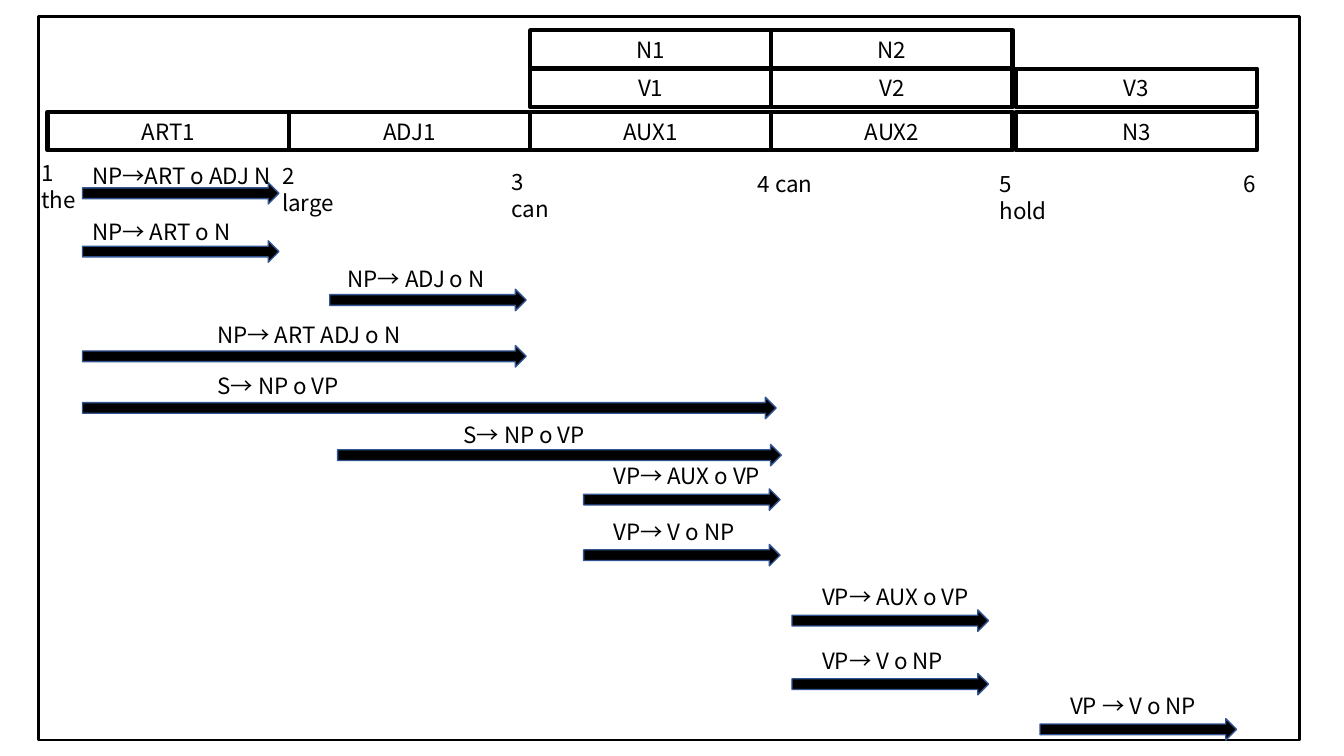
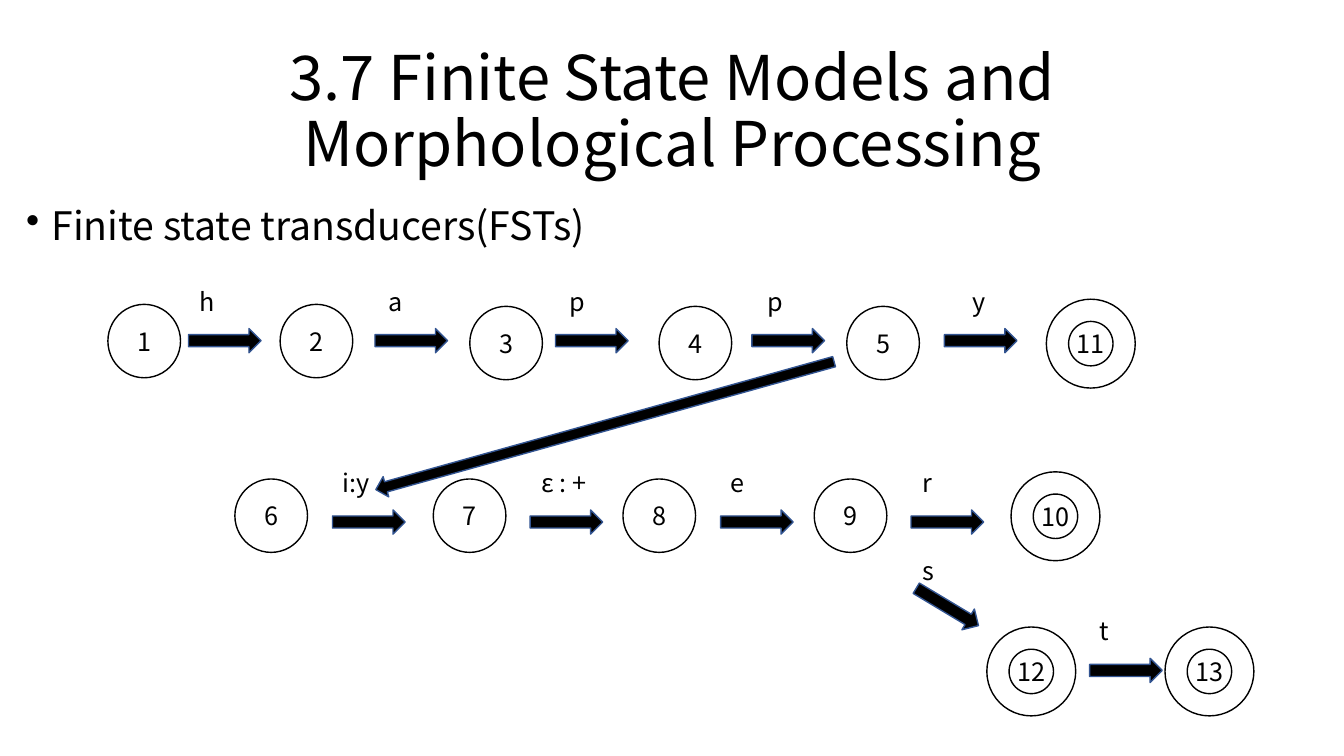
from dataclasses import dataclass

from lxml import etree
from pptx import Presentation
from pptx.dml.color import RGBColor
from pptx.enum.shapes import MSO_SHAPE
from pptx.enum.text import MSO_ANCHOR, MSO_AUTO_SIZE, PP_ALIGN
from pptx.oxml.ns import qn
from pptx.util import Cm, Pt

RECT, OVAL = MSO_SHAPE.RECTANGLE, MSO_SHAPE.OVAL
ARROW, DONUT = MSO_SHAPE.RIGHT_ARROW, MSO_SHAPE.DONUT
TOP, MIDDLE = MSO_ANCHOR.TOP, MSO_ANCHOR.MIDDLE
LEFT, CENTER = PP_ALIGN.LEFT, PP_ALIGN.CENTER
FIXED, GROW = MSO_AUTO_SIZE.NONE, MSO_AUTO_SIZE.SHAPE_TO_FIT_TEXT


@dataclass(frozen=True)
class Theme:
    font: str = "Noto Sans CJK KR"
    ink: RGBColor = RGBColor(0x00, 0x00, 0x00)
    paper: RGBColor = RGBColor(0xFF, 0xFF, 0xFF)
    arrow_edge: RGBColor = RGBColor(0x32, 0x54, 0x91)
    title_size: int = 44
    body_size: int = 28
    state_size: int = 18
    chart_size: int = 16


theme = Theme()

FRAME = {"fill": None, "edge": theme.ink, "weight": 2}
CELL = {"fill": theme.paper, "edge": theme.ink, "weight": 3}
STATE = {"fill": None, "edge": theme.ink, "weight": 1}
ARC = {"fill": theme.ink, "edge": theme.arrow_edge, "weight": 1}

CENTERED = {"vertical_anchor": MIDDLE, "auto_size": FIXED, "word_wrap": True}
GROWING = {"vertical_anchor": TOP, "auto_size": GROW, "word_wrap": True}
TITLE = {"frame": CENTERED, "size": theme.title_size,
         "paragraph": {"alignment": CENTER, "line_spacing": 0.9}}
BODY = {"frame": {**GROWING, "auto_size": FIXED}, "size": theme.body_size,
        "paragraph": {"alignment": LEFT, "line_spacing": 0.9}, "bullet": "•"}
CELL_TEXT = {"frame": CENTERED, "size": theme.chart_size, "paragraph": {"alignment": CENTER}}
STATE_TEXT = {**CELL_TEXT, "size": theme.state_size}
CHART_LABEL = {"frame": GROWING, "size": theme.chart_size, "paragraph": {"alignment": LEFT}}
STATE_LABEL = {**CHART_LABEL, "size": theme.state_size}


def draw(slide, preset, box, look, rotation=0):
    shape = slide.shapes.add_shape(preset, *map(Cm, box))
    shape.shadow.inherit = False
    shape.rotation = rotation
    if look["fill"] is None:
        shape.fill.background()
    else:
        shape.fill.solid()
        shape.fill.fore_color.rgb = look["fill"]
    shape.line.color.rgb = look["edge"]
    shape.line.width = Pt(look["weight"])
    return shape


def write(shape, words, style):
    frame = shape.text_frame
    paragraph = frame.paragraphs[0]
    for target, values in ((frame, style["frame"]), (paragraph, style["paragraph"])):
        for attribute, value in values.items():
            setattr(target, attribute, value)
    if "bullet" in style:
        properties = paragraph._p.get_or_add_pPr()
        properties.set("marL", str(Cm(0.64)))
        properties.set("indent", str(-Cm(0.64)))
        etree.SubElement(properties, qn("a:buChar")).set("char", style["bullet"])
    run = paragraph.add_run()
    run.text = words
    run.font.size = Pt(style["size"])
    run.font.color.rgb = theme.ink
    run.font.name = theme.font
    etree.SubElement(run._r.get_or_add_rPr(), qn("a:ea")).set("typeface", theme.font)


deck = Presentation()
deck.slide_width, deck.slide_height = Cm(33.87), Cm(19.05)
blank = deck.slide_layouts[6]

parse_chart = deck.slides.add_slide(blank)
draw(parse_chart, RECT, (0.97, 0.41, 31.78, 18.24), FRAME)

cell_width, cell_height = 6.08, 0.97
column_lefts = [1.2 + cell_width * column for column in range(4)] + [25.6]
constituents = [
    (0.76, 2, ["N1", "N2"]),
    (1.73, 2, ["V1", "V2", "V3"]),
    (2.82, 0, ["ART1", "ADJ1", "AUX1", "AUX2", "N3"]),
]
for top, first_column, names in constituents:
    for left, name in zip(column_lefts[first_column:], names):
        cell = draw(parse_chart, RECT, (left, top, cell_width, cell_height), CELL)
        write(cell, name, CELL_TEXT)

word_positions = [
    ("1 the", 0.79, 3.89, 1.7),
    ("2 large", 6.86, 3.96, 2.16),
    ("3 can", 12.65, 4.11, 1.68),
    ("4 can", 18.85, 4.17, 1.98),
    ("5 hold", 24.94, 4.17, 1.98),
    ("6", 31.09, 4.17, 1.98),
]
for word, left, top, width in word_positions:
    label = parse_chart.shapes.add_textbox(Cm(left), Cm(top), Cm(width), Cm(0.93))
    write(label, word, CHART_LABEL)

one_word, two_words, three_words = 4.95, 11.18, 17.48
active_arcs = [
    ("NP→ART o ADJ N", 2.08, 3.96, 2.08, 4.6, one_word),
    ("NP→ ART o N", 2.08, 5.36, 2.08, 6.07, one_word),
    ("NP→ ADJ o N", 8.51, 6.55, 8.31, 7.29, one_word),
    ("NP→ ART ADJ o N", 5.23, 7.98, 2.08, 8.71, two_words),
    ("S→ NP o VP", 5.23, 9.25, 2.08, 10.01, three_words),
    ("S→ NP o VP", 11.43, 10.49, 8.51, 11.2, two_words),
    ("VP→ AUX o VP", 15.21, 11.53, 14.71, 12.32, one_word),
    ("VP→ V o NP", 15.21, 12.93, 14.71, 13.72, one_word),
    ("VP→ AUX o VP", 20.47, 14.58, 19.96, 15.37, one_word),
    ("VP→ V o NP", 20.47, 16.18, 19.96, 16.97, one_word),
    ("VP → V o NP", 26.72, 17.32, 26.21, 18.11, one_word),
]
for rule, label_left, label_top, arc_left, arc_top, span in active_arcs:
    draw(parse_chart, ARROW, (arc_left, arc_top, span, 0.54), ARC)
    label = parse_chart.shapes.add_textbox(Cm(label_left), Cm(label_top), Cm(5.3), Cm(0.93))
    write(label, rule, CHART_LABEL)

transducer = deck.slides.add_slide(blank)
headings = [
    ("3.7 Finite State Models and Morphological Processing", (2.34, 1.02, 29.21, 3.68), TITLE),
    ("Finite state transducers(FSTs)", (0.41, 5.08, 33.15, 13.51), BODY),
]
for words, box, style in headings:
    write(transducer.shapes.add_textbox(*map(Cm, box)), words, style)

inner_states = [
    ("1", 2.72, 7.67), ("2", 7.06, 7.67), ("3", 11.84, 7.72), ("4", 16.61, 7.72),
    ("5", 21.34, 7.72), ("6", 5.92, 12.07), ("7", 10.92, 12.07), ("8", 15.7, 12.07),
    ("9", 20.52, 12.07),
]
final_states = [
    ("11", 26.37, 7.54), ("10", 25.48, 11.89), ("12", 24.87, 15.8), ("13", 29.36, 15.8),
]
state_kinds = [(OVAL, 1.83, 1.85, inner_states), (DONUT, 2.24, 2.24, final_states)]
for preset, width, height, states in state_kinds:
    for number, left, top in states:
        state = draw(transducer, preset, (left, top, width, height), STATE)
        write(state, number, STATE_TEXT)

transitions = [
    (8.28, 7.09, 0, [("h", 4.75, 4.78), ("a", 9.45, 9.55), ("p", 14, 14.1),
                     ("p", 18.95, 19.1), ("y", 23.8, 24.26)]),
    (12.85, 11.66, 0, [("i:y", 8.38, 8.38), ("ε : +", 13.36, 13.39),
                       ("e", 18.16, 18.16), ("r", 22.96, 22.99)]),
    (14.99, 13.87, 31, [("s", 22.96, 22.99)]),
    (16.59, 15.39, 0, [("t", 27.46, 27.46)]),
]
for arrow_top, label_top, rotation, symbols in transitions:
    for symbol, arrow_left, label_left in symbols:
        draw(transducer, ARROW, (arrow_left, arrow_top, 1.83, 0.61), ARC, rotation)
        label_width = 2.36 if len(symbol) > 3 else 1.7
        label = transducer.shapes.add_textbox(
            Cm(label_left), Cm(label_top), Cm(label_width), Cm(1.02))
        write(label, symbol, STATE_LABEL)

draw(transducer, ARROW, (9.25, 10.46, 11.99, 0.53), ARC, 164.4)

deck.save("out.pptx")
